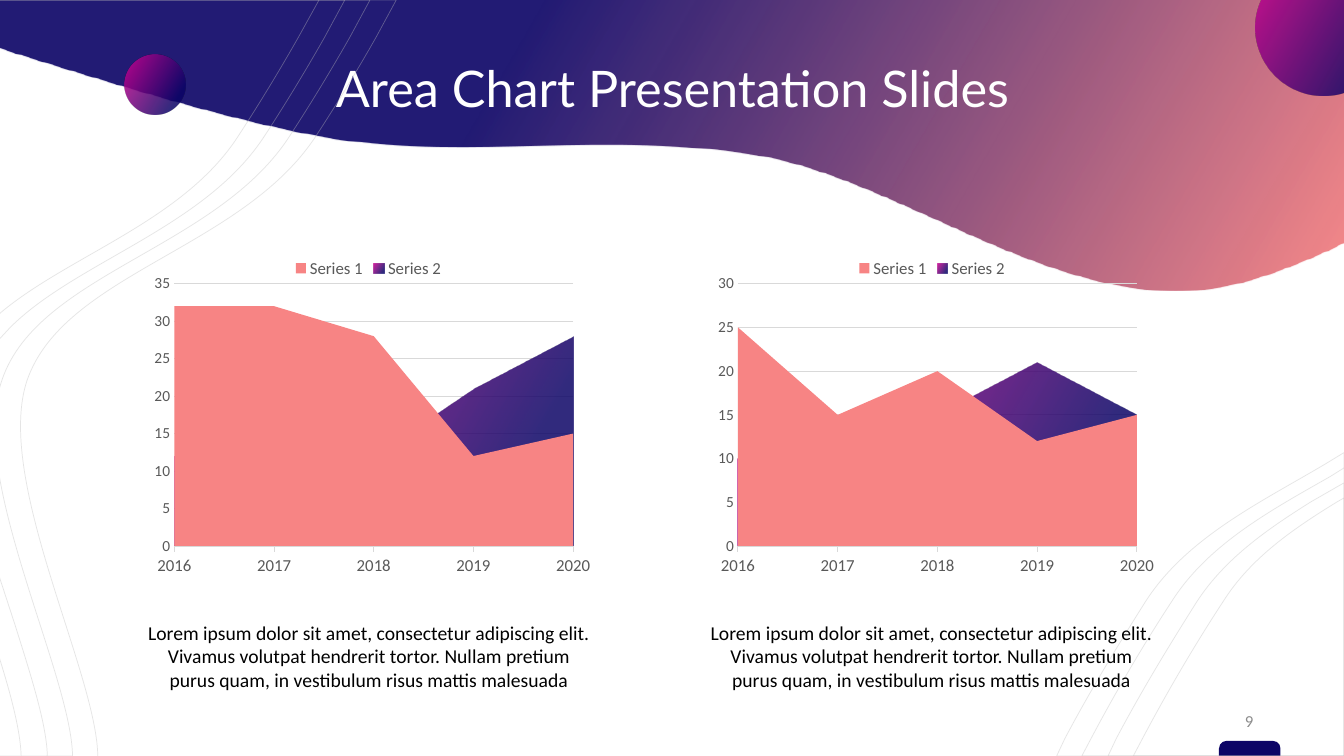
from lxml import etree
from pptx import Presentation
from pptx.chart.data import CategoryChartData
from pptx.dml.color import RGBColor
from pptx.enum.chart import XL_CHART_TYPE as ChartType, XL_LEGEND_POSITION as LegendPosition
from pptx.enum.chart import XL_TICK_MARK as TickMark
from pptx.enum.shapes import MSO_SHAPE as Preset
from pptx.enum.text import MSO_ANCHOR as Anchor, PP_ALIGN as Align
from pptx.oxml import parse_xml
from pptx.oxml.ns import nsdecls, qn
from pptx.util import Inches, Pt

NAVY, MAGENTA, CORAL = "0C0466", "D30392", "F78484"
GRAY, PALE, LINE = "595959", "D9D9D9", "BFBFBF"
WAVE_STOPS = [(36, NAVY, 90), (100, CORAL, 95)]
BALL_STOPS = [(0, MAGENTA, 86), (81, NAVY, 84)]
YEARS = ["2016", "2017", "2018", "2019", "2020"]
LOREM = ("Lorem ipsum dolor sit amet, consectetur adipiscing elit. Vivamus volutpat hendrerit "
         "tortor. Nullam pretium purus quam, in vestibulum risus mattis malesuada")
PANELS = [
    (1.26, 1.45, [32, 32, 28, 12, 15], [12, 12, 12, 21, 28]),
    (6.85, 7.03, [25, 15, 20, 12, 15], [10, 8, 15, 21, 15]),
]
WAVE = [[(0, 0), (13.33, 0), (13.33, 2.4), (13.19, 2.47),
         (12.81, 2.64, 12.47, 2.77, 12.17, 2.83), (10.57, 3.17, 8.97, 1.78, 7.5, 1.54),
         (6.03, 1.3, 4.67, 1.58, 3.33, 1.38), (2.33, 1.22, 1.02, 0.8, 0.15, 0.53), (0, 0.48)]]
RIGHT_CONTOURS = [
    [[(13.33, 4.79), (13.33, 7.5), (10.99, 7.5), (11.07, 7.33),
      (11.35, 6.8, 11.65, 6.32, 11.87, 5.97), (12.15, 5.54, 12.57, 5.25, 13, 4.98)]],
    [[(13.33, 4.94), (13.33, 7.5), (11.24, 7.5), (11.33, 7.33),
      (11.61, 6.8, 11.9, 6.32, 12.13, 5.97), (12.4, 5.54, 12.82, 5.25, 13.26, 4.98)]],
    [[(13.33, 4.49), (13.33, 7.5), (10.48, 7.5), (10.56, 7.33),
      (10.84, 6.8, 11.14, 6.32, 11.36, 5.97), (11.77, 5.33, 12.51, 4.98, 13.15, 4.6)]],
    [[(13.35, 4.63), (13.35, 7.5), (10.73, 7.5), (10.82, 7.33),
      (11.1, 6.8, 11.39, 6.32, 11.62, 5.97), (11.98, 5.4, 12.61, 5.06, 13.19, 4.73)]],
]
LEFT_CONTOURS = [
    [[(-0.02, 5.68), (0.15, 6.2), (0.31, 6.71, 0.46, 7.18, 0.47, 7.49), (0.46, 7.52), (-0.02, 7.52)],
     [(-0.02, 0), (3.42, 0), (3.22, 0.37), (3.01, 0.74, 2.8, 1.08, 2.63, 1.34),
      (2.04, 2.26, 0.76, 2.59, 0.1, 3.25), (-0.02, 3.38)]],
    [[(-0.03, 6.44), (-0.03, 6.45), (0.1, 6.86, 0.2, 7.23, 0.21, 7.49), (0.21, 7.52), (-0.03, 7.52)],
     [(-0.03, -0.01), (3.17, -0.01), (2.96, 0.37), (2.75, 0.74, 2.54, 1.08, 2.37, 1.34),
      (1.83, 2.19, 0.69, 2.53, 0.01, 3.1), (-0.03, 3.14)]],
    [[(-0.02, 0), (3.93, 0), (3.73, 0.37), (3.52, 0.74, 3.31, 1.08, 3.14, 1.34),
      (2.41, 2.47, 0.64, 2.71, 0.27, 3.77), (-0.06, 4.74, 0.95, 6.65, 0.97, 7.49),
      (0.97, 7.52), (-0.02, 7.52)]],
    [[(-0.03, 4.49), (-0.02, 4.64), (0.13, 5.63, 0.7, 6.86, 0.72, 7.49), (0.72, 7.5), (-0.03, 7.5)],
     [(-0.03, 0), (3.67, 0), (3.47, 0.37), (3.26, 0.74, 3.05, 1.08, 2.88, 1.34),
      (2.16, 2.47, 0.38, 2.71, 0.02, 3.77), (0, 3.83, -0.02, 3.9, -0.03, 3.96), (-0.03, 3.99)]],
]


def rgb(value):
    return RGBColor.from_string(value)


def set_format(target, values):
    for name, value in values.items():
        setattr(target, name, value)


def set_font(font, size, color, name="Calibri"):
    set_format(font, {"size": Pt(size), "name": name, "bold": False})
    font.color.rgb = rgb(color)


def set_gradient(fill, properties, stops):
    fill.solid()
    marks = "".join(
        f'<a:gs pos="{place * 1000}"><a:srgbClr val="{color}">'
        f'<a:alpha val="{alpha * 1000}"/></a:srgbClr></a:gs>' for place, color, alpha in stops)
    gradient = parse_xml(f'<a:gradFill {nsdecls("a")} rotWithShape="1"><a:gsLst>{marks}</a:gsLst>'
                         '<a:lin ang="1800000" scaled="0"/></a:gradFill>')
    properties.replace(properties.find(qn("a:solidFill")), gradient)


def bend_segments(shape, contours):
    segments = [segment for contour in contours for segment in contour[1:]]
    lines = list(shape._element.iter(qn("a:lnTo")))
    for line, segment in zip(lines, segments):
        if len(segment) == 2:
            continue
        curve = etree.Element(qn("a:cubicBezTo"))
        for x, y in zip(segment[::2], segment[1::2]):
            etree.SubElement(curve, qn("a:pt"), x=str(Inches(x) - shape.left),
                             y=str(Inches(y) - shape.top))
        line.getparent().replace(line, curve)


def add_outline(page, contours):
    builder = None
    for contour in contours:
        first, *rest = [(Inches(segment[-2]), Inches(segment[-1])) for segment in contour]
        if builder is None:
            builder = page.shapes.build_freeform(*first)
        else:
            builder.move_to(*first)
        builder.add_line_segments(rest, close=True)
    shape = builder.convert_to_shape()
    shape.shadow.inherit = False
    bend_segments(shape, contours)
    return shape


def add_contour_lines(page, family):
    for contours in family:
        shape = add_outline(page, contours)
        shape.fill.background()
        shape.line.width = Pt(0.5)
        shape.line.color.rgb = rgb(LINE)
        color = shape.line._ln.find(".//" + qn("a:srgbClr"))
        etree.SubElement(color, qn("a:alpha"), val="40000")


def add_wave(page):
    shape = add_outline(page, WAVE)
    shape.line.fill.background()
    set_gradient(shape.fill, shape._element.spPr, WAVE_STOPS)


def add_preset(page, preset, left, top, width, height):
    shape = page.shapes.add_shape(preset, Inches(left), Inches(top), Inches(width), Inches(height))
    shape.shadow.inherit = False
    shape.line.fill.background()
    return shape


def add_ball(page, left, top, size):
    shape = add_preset(page, Preset.OVAL, left, top, size, size)
    set_gradient(shape.fill, shape._element.spPr, BALL_STOPS)


def add_tab(page):
    shape = add_preset(page, Preset.ROUND_2_SAME_RECTANGLE, 12.09, 7.35, 0.61, 0.15)
    shape.adjustments[0] = 0.5
    shape.fill.solid()
    shape.fill.fore_color.rgb = rgb(NAVY)


def add_text(page, left, top, width, height, text, size, color, font="Calibri", spacing=1.0):
    box = page.shapes.add_textbox(Inches(left), Inches(top), Inches(width), Inches(height))
    set_format(box.text_frame, {
        "word_wrap": True, "vertical_anchor": Anchor.MIDDLE, "margin_left": 0,
        "margin_right": 0, "margin_top": 0, "margin_bottom": 0})
    para = box.text_frame.paragraphs[0]
    set_format(para, {"alignment": Align.CENTER, "line_spacing": spacing})
    span = para.add_run()
    span.text = text
    set_font(span.font, size, color, font)


def set_plot_layout(chart):
    plot_area = chart._chartSpace.chart.plotArea
    for old in plot_area.findall(qn("c:layout")):
        plot_area.remove(old)
    layout = parse_xml(f'<c:layout {nsdecls("c")}><c:manualLayout/></c:layout>')
    values = {"layoutTarget": "inner", "xMode": "edge", "yMode": "edge",
              "x": "0.098", "y": "0.108", "w": "0.826", "h": "0.77"}
    for name, value in values.items():
        etree.SubElement(layout[0], qn(f"c:{name}"), val=value)
    plot_area.insert(0, layout)


def add_area_chart(page, left, first, second):
    data = CategoryChartData()
    data.categories = YEARS
    data.add_series("Series 1", first)
    data.add_series("Series 2", second)
    chart = page.shapes.add_chart(ChartType.AREA, Inches(left), Inches(2.45),
                                  Inches(4.79), Inches(3.38), data).chart
    set_format(chart, {"has_title": False, "has_legend": True})
    set_font(chart.font, 10, "000000")
    set_format(chart.legend, {"position": LegendPosition.TOP, "include_in_layout": False})
    set_font(chart.legend.font, 12, GRAY)
    years, values = chart.category_axis, chart.value_axis
    for axis, size, tick in ((years, 12, TickMark.OUTSIDE), (values, 11, TickMark.NONE)):
        set_format(axis, {"major_tick_mark": tick, "minor_tick_mark": TickMark.NONE})
        set_font(axis.tick_labels.font, size, GRAY)
    years.has_major_gridlines = False
    values.has_major_gridlines = True
    values.format.line.fill.background()
    for line in (years.format.line, values.major_gridlines.format.line):
        line.width = Pt(0.75)
        line.color.rgb = rgb(PALE)
    chart.plots[0].vary_by_categories = False
    front, back = chart.plots[0].series
    front.format.fill.solid()
    front.format.fill.fore_color.rgb = rgb(CORAL)
    set_gradient(back.format.fill, back._element.spPr, BALL_STOPS)
    set_plot_layout(chart)


def main():
    deck = Presentation()
    set_format(deck, {"slide_width": Inches(13.33), "slide_height": Inches(7.5)})
    page = deck.slides.add_slide(deck.slide_layouts[6])
    add_tab(page)
    add_contour_lines(page, RIGHT_CONTOURS)
    add_wave(page)
    add_text(page, 0.71, 0.44, 11.92, 0.93, "Area Chart Presentation Slides", 36, "FFFFFF", "Lato", 0.9)
    add_text(page, 12.16, 6.95, 0.46, 0.4, "9", 12, "8C8C8C")
    add_ball(page, 12.45, -0.4, 1.35)
    add_ball(page, 1.24, 0.54, 0.6)
    for chart_left, text_left, first, second in PANELS:
        add_area_chart(page, chart_left, first, second)
        add_text(page, text_left, 6.15, 4.42, 0.71, LOREM, 14, "000000")
    add_contour_lines(page, LEFT_CONTOURS)
    deck.save("out.pptx")


if __name__ == "__main__":
    main()
